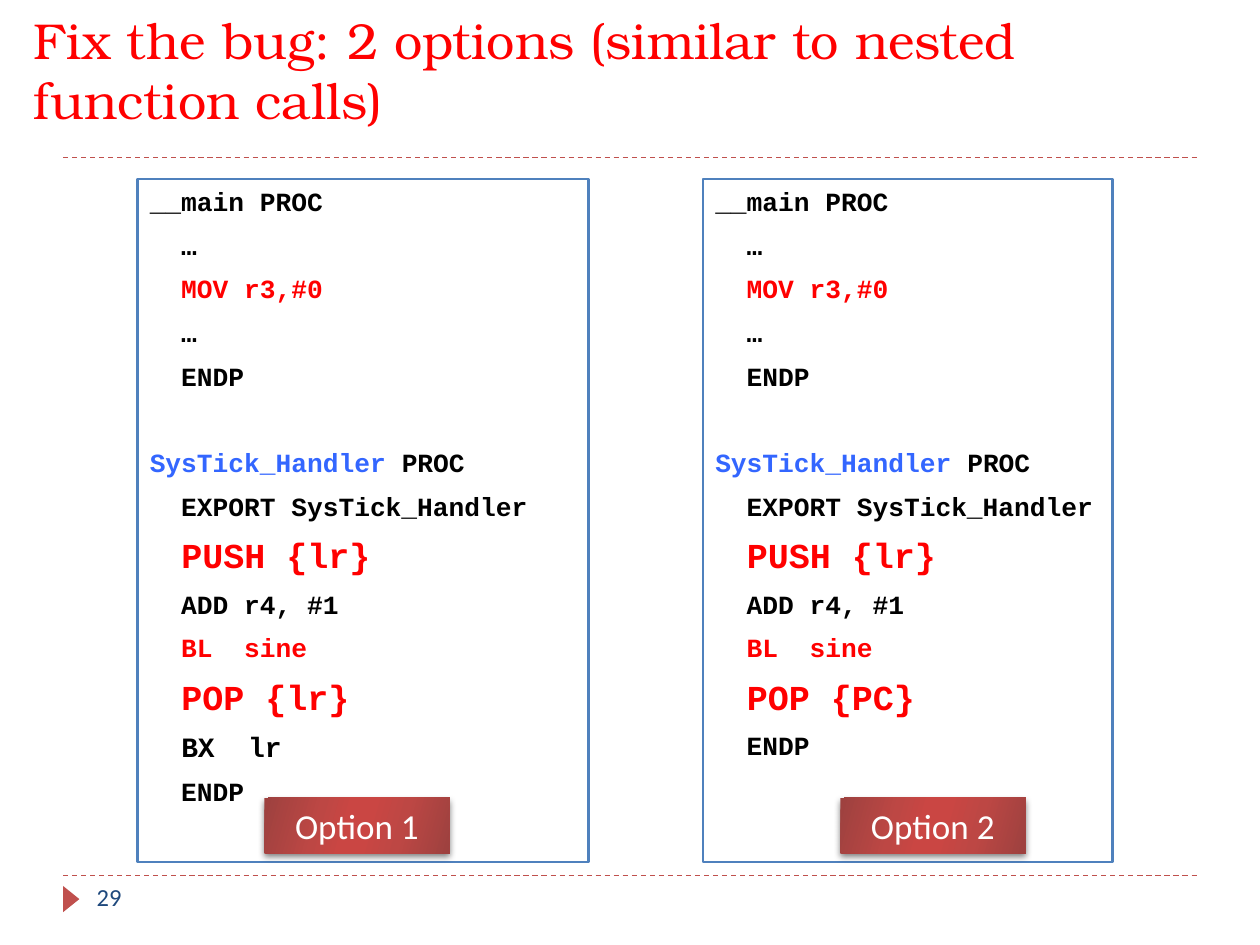
from dataclasses import dataclass

from lxml import etree
from pptx import Presentation
from pptx import util as u
from pptx.dml.color import RGBColor
from pptx.enum import dml, shapes, text
from pptx.oxml import ns, parse_xml


@dataclass(frozen=True)
class Theme:
    """Colours, fonts and type sizes of the slide."""
    red: str = "FF0000"
    blue: str = "3366FF"
    black: str = "000000"
    white: str = "FFFFFF"
    navy: str = "1F497D"
    accent: str = "C0504D"
    border: str = "4F81BD"
    gradient: tuple = ((0, "9D413F"), (30, "BD4744"), (45, "CA4643"),
                       (55, "CA4643"), (73, "BD4744"), (100, "9D413F"))
    head_font: str = "TeX Gyre Bonum"
    body_font: str = "Calibri"
    code_font: str = "Courier New"
    title: float = 28.8
    label: float = 20
    number: float = 14
    code: float = 15
    code_mid: float = 16
    code_big: float = 20
    code_gap: float = 7
    block_gap: float = 31


T = Theme()

MAIN = [
    [("__main PROC", {})],
    [("  …", {})],
    [("  MOV r3,#0", {"color": T.red})],
    [("  …", {})],
    [("  ENDP", {})],
]


def handler(*ending):
    """Return the interrupt handler's lines, closed by the given ones."""
    return [
        [("SysTick_Handler", {"color": T.blue}), (" PROC", {})],
        [("  EXPORT SysTick_Handler", {})],
        [("  ", {}), ("PUSH {lr}", {"color": T.red, "size": T.code_big})],
        [("  ADD r4, #1", {})],
        [("  BL  sine", {"color": T.red})],
        *ending,
        [("  ENDP", {})],
    ]


def pop(register):
    """Return the enlarged line that pops into a register."""
    return [("  ", {}), (f"POP {{{register}}}", {"color": T.red, "size": T.code_big})]


def write(p, content, size=T.code, font=T.code_font, color=T.black, bold=False, align=None):
    """Add a formatted run to a paragraph."""
    r = p.add_run()
    r.text = content
    r.font.size = u.Pt(size)
    r.font.name = font
    r.font.bold = bold
    r.font.color.rgb = RGBColor.from_string(color)
    if align is not None:
        p.alignment = align


def add_box(s, kind, left, top, width, height, fill, line=None):
    """Add a preset shape with a plain fill and an optional outline."""
    sp = s.shapes.add_shape(kind, u.Cm(left), u.Cm(top), u.Cm(width), u.Cm(height))
    sp.shadow.inherit = False
    sp.fill.solid()
    sp.fill.fore_color.rgb = RGBColor.from_string(fill)
    if line:
        sp.line.color.rgb = RGBColor.from_string(line)
        sp.line.width = u.Pt(1.5)
    else:
        sp.line.fill.background()
    return sp


def add_rule(s, top):
    """Add a dashed rule across the slide."""
    c = s.shapes.add_connector(shapes.MSO_CONNECTOR.STRAIGHT,
                               u.Cm(1.27), u.Cm(top), u.Cm(24.13), u.Cm(top))
    c.line.color.rgb = RGBColor.from_string(T.accent)
    c.line.width = u.Pt(0.75)
    c.line.dash_style = dml.MSO_LINE.DASH
    etree.SubElement(c._element.spPr, ns.qn("a:effectLst"))


def add_title(s, content):
    """Place and fill the title placeholder."""
    sp = s.shapes.title
    sp.left, sp.top, sp.width, sp.height = u.Cm(0.43), u.Cm(0.2), u.Cm(22.86), u.Cm(2.54)
    tf = sp.text_frame
    tf.auto_size = text.MSO_AUTO_SIZE.NONE
    tf.vertical_anchor = text.MSO_ANCHOR.BOTTOM
    write(tf.paragraphs[0], content, size=T.title, font=T.head_font,
          color=T.red, align=text.PP_ALIGN.LEFT)


def add_footer(s, number):
    """Add the triangle marker and the page number."""
    marker = add_box(s, shapes.MSO_SHAPE.ISOSCELES_TRIANGLE, 1.17, 17.96, 0.53, 0.33, T.accent)
    marker.rotation = 90
    tb = s.shapes.add_textbox(u.Cm(1.7), u.Cm(17.65), u.Cm(5.5), u.Cm(1.02))
    tb.text_frame.word_wrap = True
    write(tb.text_frame.paragraphs[0], number, size=T.number, font=T.body_font, color=T.navy)


def add_code(s, left, width, blocks):
    """Add an outlined listing whose blocks are set apart by spacing."""
    sp = add_box(s, shapes.MSO_SHAPE.RECTANGLE, left, 3.61, width, 13.77, T.white, T.border)
    tf = sp.text_frame
    tf.word_wrap = True
    tf.vertical_anchor = text.MSO_ANCHOR.TOP
    p = None
    for block in blocks:
        for i, line in enumerate(block):
            if p is None:
                p = tf.paragraphs[0]
            else:
                p = tf.add_paragraph()
                p.space_before = u.Pt(T.code_gap if i else T.block_gap)
            p.alignment = text.PP_ALIGN.LEFT
            for content, fmt in line:
                write(p, content, bold=True, **fmt)


def add_label(s, left, content):
    """Add a shaded label with a soft shadow."""
    sp = add_box(s, shapes.MSO_SHAPE.RECTANGLE, left, 16.08, 3.73, 1.12, T.accent)
    sp.fill.gradient()
    sp.fill.gradient_angle = 344
    stops = sp._element.spPr.find(".//" + ns.qn("a:gsLst"))
    for stop in list(stops):
        stops.remove(stop)
    for pos, color in T.gradient:
        gs = etree.SubElement(stops, ns.qn("a:gs"), pos=str(pos * 1000))
        etree.SubElement(gs, ns.qn("a:srgbClr"), val=color)
    sp._element.spPr.find(ns.qn("a:effectLst")).append(parse_xml(
        f'<a:outerShdw {ns.nsdecls("a")} blurRad="{u.Pt(4)}" dist="{u.Pt(2)}" dir="5400000" '
        f'rotWithShape="0"><a:srgbClr val="{T.black}"><a:alpha val="50000"/></a:srgbClr>'
        '</a:outerShdw>'))
    tf = sp.text_frame
    tf.vertical_anchor = text.MSO_ANCHOR.MIDDLE
    write(tf.paragraphs[0], content, size=T.label, font=T.body_font,
          color=T.white, align=text.PP_ALIGN.CENTER)


def main():
    """Build and save the slide."""
    prs = Presentation()
    prs.slide_width, prs.slide_height = u.Cm(25.4), u.Cm(19.05)
    s = prs.slides.add_slide(prs.slide_layouts[5])
    for top in (17.65, 3.18):
        add_rule(s, top)
    add_title(s, "Fix the bug: 2 options (similar to nested function calls)")
    add_footer(s, "29")
    branch = [("  ", {}), ("BX  lr", {"size": T.code_mid})]
    add_code(s, 2.77, 9.09, [MAIN, handler(pop("lr"), branch)])
    add_code(s, 14.17, 8.26, [MAIN, handler(pop("PC"))])
    add_label(s, 5.33, "Option 1")
    add_label(s, 16.94, "Option 2")
    prs.save("out.pptx")


if __name__ == "__main__":
    main()
